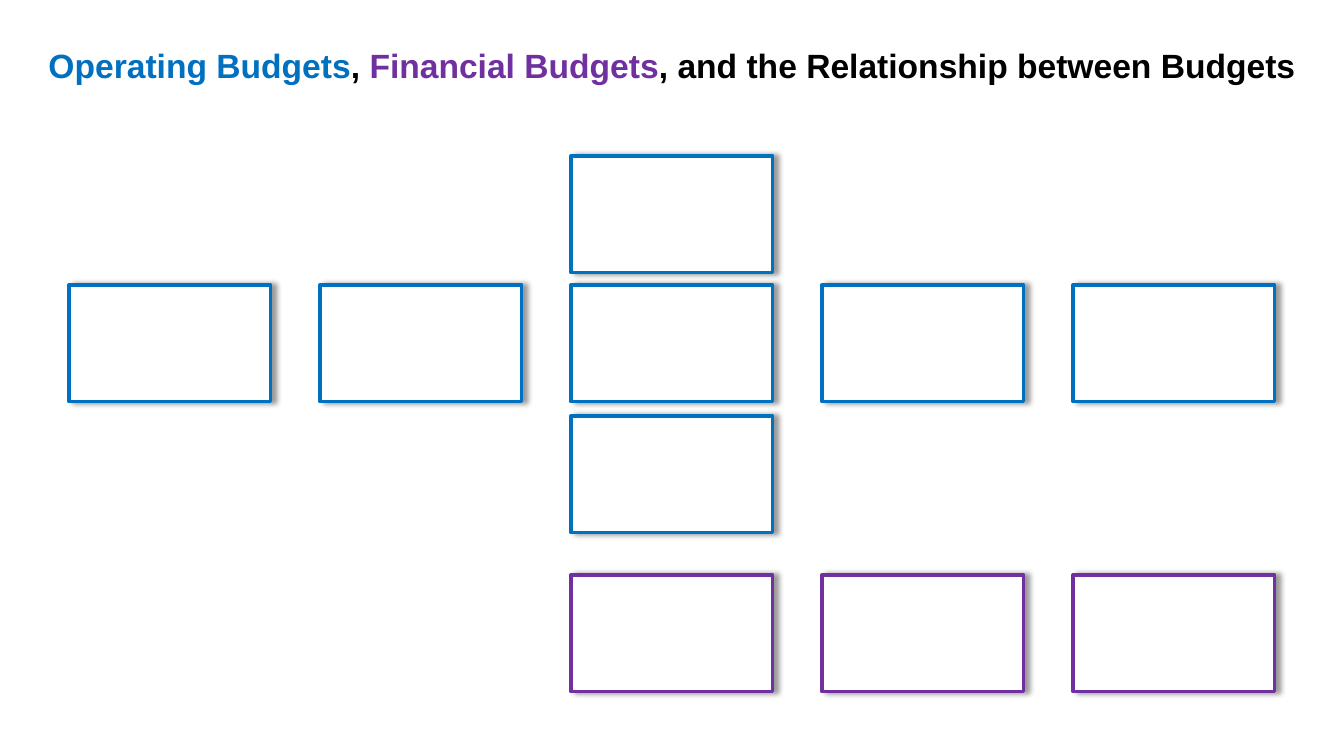
"""Build a slide of empty boxes for operating and financial budgets."""
from dataclasses import dataclass

from lxml import etree
from pptx import Presentation
from pptx import util as u
from pptx.dml.color import RGBColor
from pptx.enum import shapes, text
from pptx.oxml import ns

TITLE = [
    ("Operating Budgets", "operating"),
    (", ", "ink"),
    ("Financial Budgets", "financial"),
    (", and the Relationship between Budgets", "ink"),
]
BOXES = {
    "operating": [(0, 1), (1, 1), (2, 0), (2, 1), (2, 2), (3, 1), (4, 1)],
    "financial": [(2, 3), (3, 3), (4, 3)],
}

SLIDE_SIZE = (1344, 756)
TITLE_AREA = (5, 40, 1334, 50)
BOX_SIZE = (202, 117)
FIRST_LEFT, COLUMN_STEP = 69, 251
ROW_TOPS = [156, 285, 416, 575]


@dataclass(frozen=True)
class Theme:
    operating: str = "0070C0"
    financial: str = "7030A0"
    ink: str = "000000"
    paper: str = "FFFFFF"
    font: str = "Arial"
    title_size: int = 24
    line_width: float = 2.25
    shadow_blur: int = 4
    shadow_distance: int = 3
    shadow_opacity: int = 40


THEME = Theme()


def px(length):
    return u.Emu(round(length * 914400 / 100.8))


def color(role):
    return RGBColor.from_string(getattr(THEME, role))


def add_shadow(shape):
    shape.shadow.inherit = False
    effects = shape._element.spPr.find(ns.qn("a:effectLst"))
    shadow = etree.SubElement(
        effects, ns.qn("a:outerShdw"),
        blurRad=str(u.Pt(THEME.shadow_blur)),
        dist=str(u.Pt(THEME.shadow_distance)),
        dir="0", algn="l", rotWithShape="0",
    )
    ink = etree.SubElement(shadow, ns.qn("a:srgbClr"), val=THEME.ink)
    etree.SubElement(ink, ns.qn("a:alpha"), val=str(THEME.shadow_opacity * 1000))


def add_box(slide, column, row, role):
    area = (FIRST_LEFT + column * COLUMN_STEP, ROW_TOPS[row], *BOX_SIZE)
    shape = slide.shapes.add_shape(shapes.MSO_SHAPE.RECTANGLE, *map(px, area))
    shape.fill.solid()
    shape.fill.fore_color.rgb = color("paper")
    shape.line.color.rgb = color(role)
    shape.line.width = u.Pt(THEME.line_width)
    add_shadow(shape)


def add_title(slide):
    frame = slide.shapes.add_textbox(*map(px, TITLE_AREA)).text_frame
    frame.word_wrap = True
    frame.auto_size = text.MSO_AUTO_SIZE.SHAPE_TO_FIT_TEXT
    frame.margin_left = frame.margin_right = px(5)
    frame.margin_top = frame.margin_bottom = px(5)
    paragraph = frame.paragraphs[0]
    paragraph.alignment = text.PP_ALIGN.CENTER
    for words, role in TITLE:
        run = paragraph.add_run()
        run.text = words
        run.font.name = THEME.font
        run.font.size = u.Pt(THEME.title_size)
        run.font.bold = True
        run.font.color.rgb = color(role)


def main():
    presentation = Presentation()
    presentation.slide_width, presentation.slide_height = map(px, SLIDE_SIZE)
    slide = presentation.slides.add_slide(presentation.slide_layouts[6])
    slide.background.fill.solid()
    slide.background.fill.fore_color.rgb = color("paper")
    for role, cells in BOXES.items():
        for column, row in cells:
            add_box(slide, column, row, role)
    add_title(slide)
    presentation.save("out.pptx")


if __name__ == "__main__":
    main()
